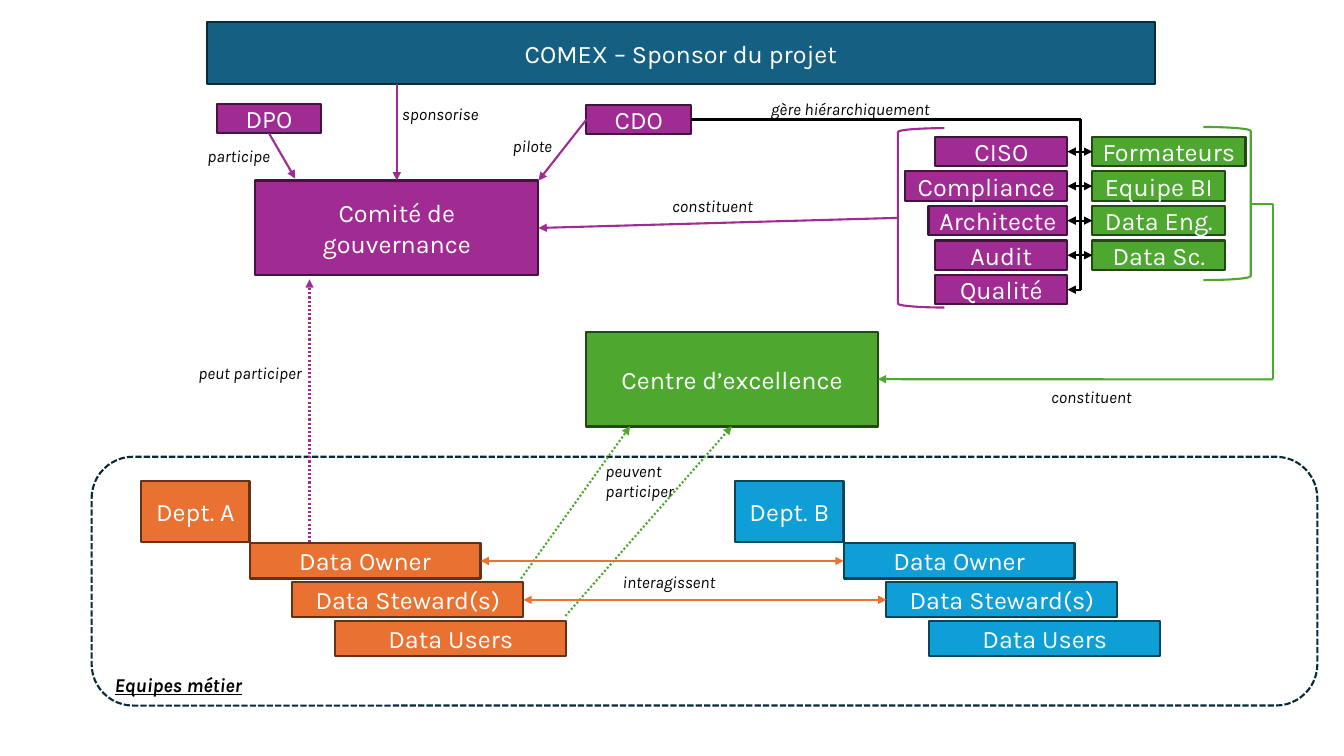
from lxml import etree
from pptx import Presentation
from pptx.dml.color import RGBColor
from pptx.enum.dml import MSO_LINE
from pptx.enum.shapes import MSO_CONNECTOR, MSO_SHAPE
from pptx.enum.text import MSO_ANCHOR, MSO_AUTO_SIZE, PP_ALIGN
from pptx.oxml.ns import qn
from pptx.util import Cm, Pt

RECTANGLE = MSO_SHAPE.RECTANGLE
DASH, DOT = MSO_LINE.SQUARE_DOT, MSO_LINE.ROUND_DOT
TOP, LEFT, BOTTOM, RIGHT = range(4)

# Content: colours as (fill, outline), lengths in centimetres
NAVY, PURPLE, GREEN = ("156082", "092A39"), ("A02B93", "461340"), ("4EA72E", "224914")
ORANGE, BLUE = ("E97132", "663216"), ("0F9ED5", "07455D")
BLACK, WHITE = "000000", "FFFFFF"

main_boxes = [  # text, left, top, width, height, colours
    ("COMEX – Sponsor du projet", 5.21, 0.56, 23.9, 1.55, NAVY),
    ("Comité de gouvernance", 6.43, 4.55, 7.14, 2.39, PURPLE),
    ("Centre d’excellence", 14.78, 8.36, 7.34, 2.39, GREEN),
    ("DPO", 5.46, 2.62, 2.64, 0.74, PURPLE),
    ("CDO", 14.78, 2.64, 2.64, 0.74, PURPLE),
]
governance_roles = [("CISO", 3.33), ("Compliance", 4.09), ("Architecte", 3.5),
                    ("Audit", 3.33), ("Qualité", 3.33)]
expert_roles = [("Formateurs", 3.86), ("Equipe BI", 3.35), ("Data Eng.", 3.35),
                ("Data Sc.", 3.35)]
departments = [("Dept. A", 3.56, ORANGE), ("Dept. B", 18.53, BLUE)]
team_roles = ["Data Owner", "Data Steward(s)", "Data Users"]
labels = [  # text, left, top, width
    ("sponsorise", 9.88, 2.49, 2.62),
    ("gère hiérarchiquement", 19.18, 2.36, 6),
    ("participe", 4.98, 3.56, 2.62),
    ("pilote", 12.67, 3.3, 2.62),
    ("constituent", 16.69, 4.8, 2.62),
    ("peut participer", 4.75, 9.02, 4),
    ("constituent", 26.24, 9.63, 2.62),
    ("peuvent participer", 15.01, 11.48, 2.95),
    ("interagissent", 15.44, 14.27, 2.95),
]

# Layout rules
ROLE_TOP, ROLE_PITCH, ROLE_HEIGHT = 3.45, 0.87, 0.74
GOVERNANCE_RIGHT, EXPERT_LEFT, TRUNK = 26.9, 27.53, 27.23
DEPT_TOP, DEPT_WIDTH, DEPT_HEIGHT = 12.12, 2.73, 1.55
TEAM_TOP, TEAM_WIDTH, TEAM_HEIGHT = 13.69, 5.82, 0.89
TEAM_STEP_X, TEAM_STEP_Y = 1.08, 0.98

deck = Presentation()
deck.slide_width, deck.slide_height = Cm(33.87), Cm(19.05)
page = deck.slides.add_slide(deck.slide_layouts[6])


def color(code):
    return RGBColor.from_string(code)


def write(shape, text, size=18, ink=WHITE, align=PP_ALIGN.CENTER, **styles):
    frame = shape.text_frame
    frame.word_wrap = True
    para = frame.paragraphs[0]
    para.alignment = align
    span = para.add_run()
    span.text = text
    span.font.name, span.font.size = "Karla", Pt(size)
    span.font.color.rgb = color(ink)
    for name, value in styles.items():
        setattr(span.font, name, value)


def add_outline(kind, left, top, width, height, line, fill=None, dash=None):
    shape = page.shapes.add_shape(kind, Cm(left), Cm(top), Cm(width), Cm(height))
    shape.shadow.inherit = False
    if fill:
        shape.fill.solid()
        shape.fill.fore_color.rgb = color(fill)
    else:
        shape.fill.background()
    shape.line.color.rgb, shape.line.width = color(line), Pt(1.5)
    if dash:
        shape.line.dash_style = dash
    return shape


def add_box(text, left, top, width, height, colours):
    fill, line = colours
    box = add_outline(RECTANGLE, left, top, width, height, line, fill)
    box.text_frame.vertical_anchor = MSO_ANCHOR.MIDDLE
    write(box, text)
    return box


def add_label(text, left, top, width, **styles):
    label = page.shapes.add_textbox(Cm(left), Cm(top), Cm(width), Cm(0.76))
    label.text_frame.auto_size = MSO_AUTO_SIZE.SHAPE_TO_FIT_TEXT
    write(label, text, ink=BLACK, align=PP_ALIGN.LEFT, italic=True, **styles)


def add_link(start, end, ink, head=False, tail=False, width=1.5, dash=None):
    """Each end is a point (x, y) in cm or a pair (box, side)."""
    first, last = [(0, 0) if hasattr(a, "left") else (a, b) for a, b in (start, end)]
    link = page.shapes.add_connector(MSO_CONNECTOR.STRAIGHT, *map(Cm, first + last))
    if hasattr(start[0], "left"):
        link.begin_connect(*start)
    if hasattr(end[0], "left"):
        link.end_connect(*end)
    link.line.color.rgb, link.line.width = color(ink), Pt(width)
    if dash:
        link.line.dash_style = dash
    outline = link.line._get_or_add_ln()
    for tag, wanted in (("a:headEnd", head), ("a:tailEnd", tail)):
        if wanted:
            etree.SubElement(outline, qn(tag), type="triangle")
    etree.SubElement(link._element.spPr, qn("a:effectLst"))


# Sponsor, committees and officers
comex, committee, centre, dpo, cdo = [add_box(*item) for item in main_boxes]

# Two columns of roles, facing each other across the trunk
governance, experts = [], []
for row, (name, width) in enumerate(governance_roles):
    governance.append(add_box(name, GOVERNANCE_RIGHT - width, ROLE_TOP + row * ROLE_PITCH,
                              width, ROLE_HEIGHT, PURPLE))
for row, (name, width) in enumerate(expert_roles):
    experts.append(add_box(name, EXPERT_LEFT, ROLE_TOP + row * ROLE_PITCH,
                           width, ROLE_HEIGHT, GREEN))
add_outline(MSO_SHAPE.LEFT_BRACKET, 22.63, 3.23, 1.17, 4.52, PURPLE[0])
add_outline(MSO_SHAPE.RIGHT_BRACKET, 30.33, 3.2, 1.19, 3.86, GREEN[0])

# Business teams: a staircase of roles under each department
add_outline(MSO_SHAPE.ROUNDED_RECTANGLE, 2.31, 11.51, 30.89, 6.27, NAVY[1], dash=DASH)
teams = []
for name, left, colours in departments:
    add_box(name, left, DEPT_TOP, DEPT_WIDTH, DEPT_HEIGHT, colours)
    teams.append([
        add_box(role, left + DEPT_WIDTH + step * TEAM_STEP_X, TEAM_TOP + step * TEAM_STEP_Y,
                TEAM_WIDTH, TEAM_HEIGHT, colours)
        for step, role in enumerate(team_roles)])

# Reporting lines from the CDO
cdo_middle = 3.01
last_role_middle = ROLE_TOP + (len(governance) - 1) * ROLE_PITCH + ROLE_HEIGHT / 2
add_link((cdo, RIGHT), (TRUNK, cdo_middle), BLACK)
add_link((TRUNK, cdo_middle), (TRUNK, last_role_middle), BLACK)
for role, expert in zip(governance, experts):
    add_link((role, RIGHT), (expert, LEFT), BLACK, head=True, tail=True)
add_link((governance[-1], RIGHT), (TRUNK, last_role_middle), BLACK, head=True)

# Links to the governance committee
add_link((10, 2.11), (committee, TOP), PURPLE[0], tail=True)
add_link((cdo, LEFT), (13.57, 4.55), PURPLE[0], tail=True)
add_link((dpo, BOTTOM), (7.44, 4.5), PURPLE[0], tail=True)
add_link((22.63, 5.49), (committee, RIGHT), PURPLE[0], tail=True)
add_link((7.8, 13.67), (7.8, 7.04), PURPLE[0], tail=True, dash=DOT)

# Links to the centre of excellence
add_link((31.52, 5.13), (32.08, 5.13), GREEN[0])
add_link((32.08, 5.13), (32.08, 9.56), GREEN[0])
add_link((32.08, 9.56), (centre, RIGHT), GREEN[0], tail=True)
add_link((13.13, 14.58), (15.88, 10.74), GREEN[0], tail=True, dash=DOT)
add_link((14.25, 15.52), (18.44, 10.74), GREEN[0], tail=True, dash=DOT)

# Exchanges between the owners and between the stewards
for role_a, role_b in list(zip(*teams))[:2]:
    add_link((role_b, LEFT), (role_a, RIGHT), ORANGE[0], head=True, tail=True, width=1)

# Labels
for item in labels:
    add_label(*item, size=12)
add_label("Equipes métier", 2.64, 16.84, 5.16, size=14, bold=True, underline=True)

deck.save("out.pptx")
